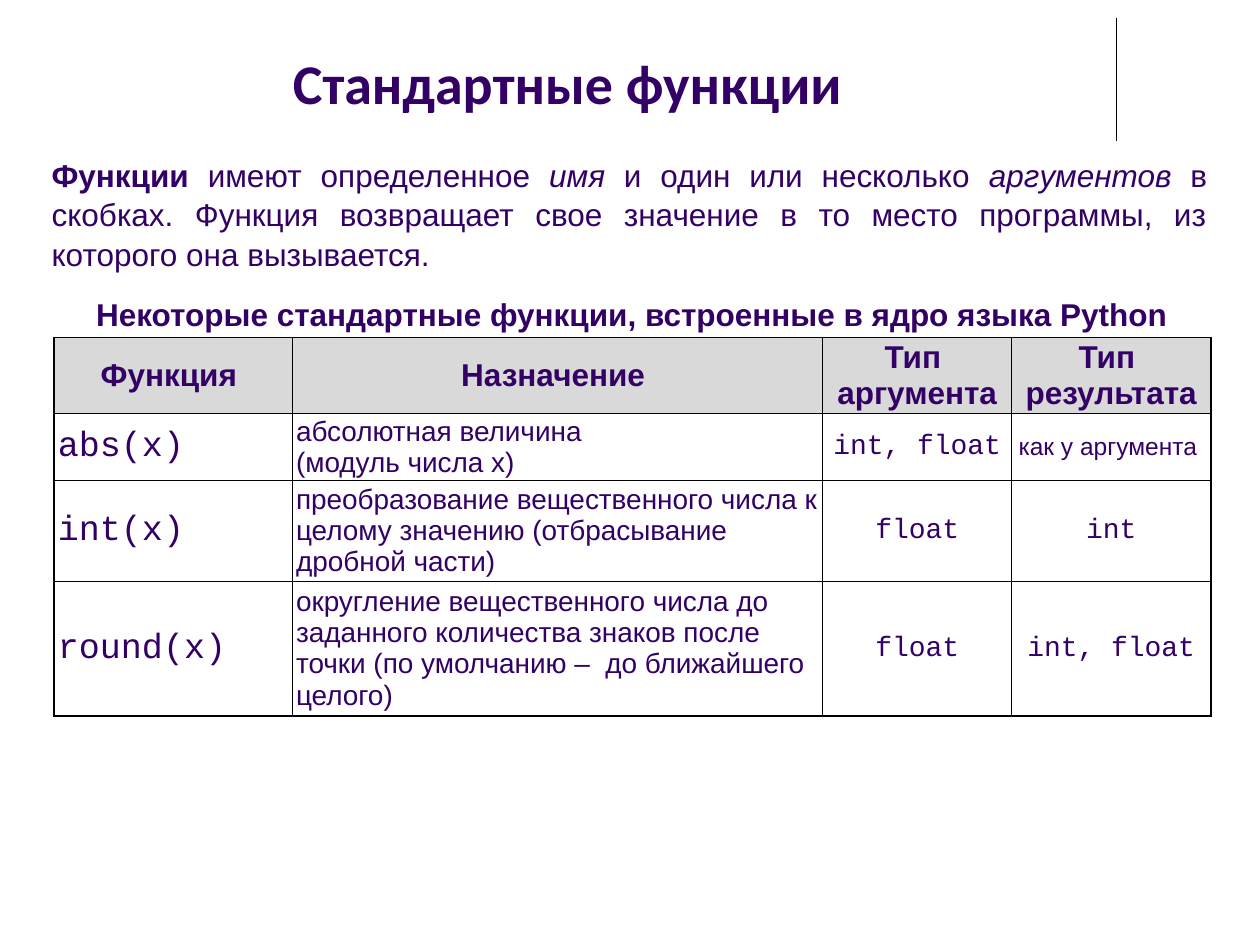
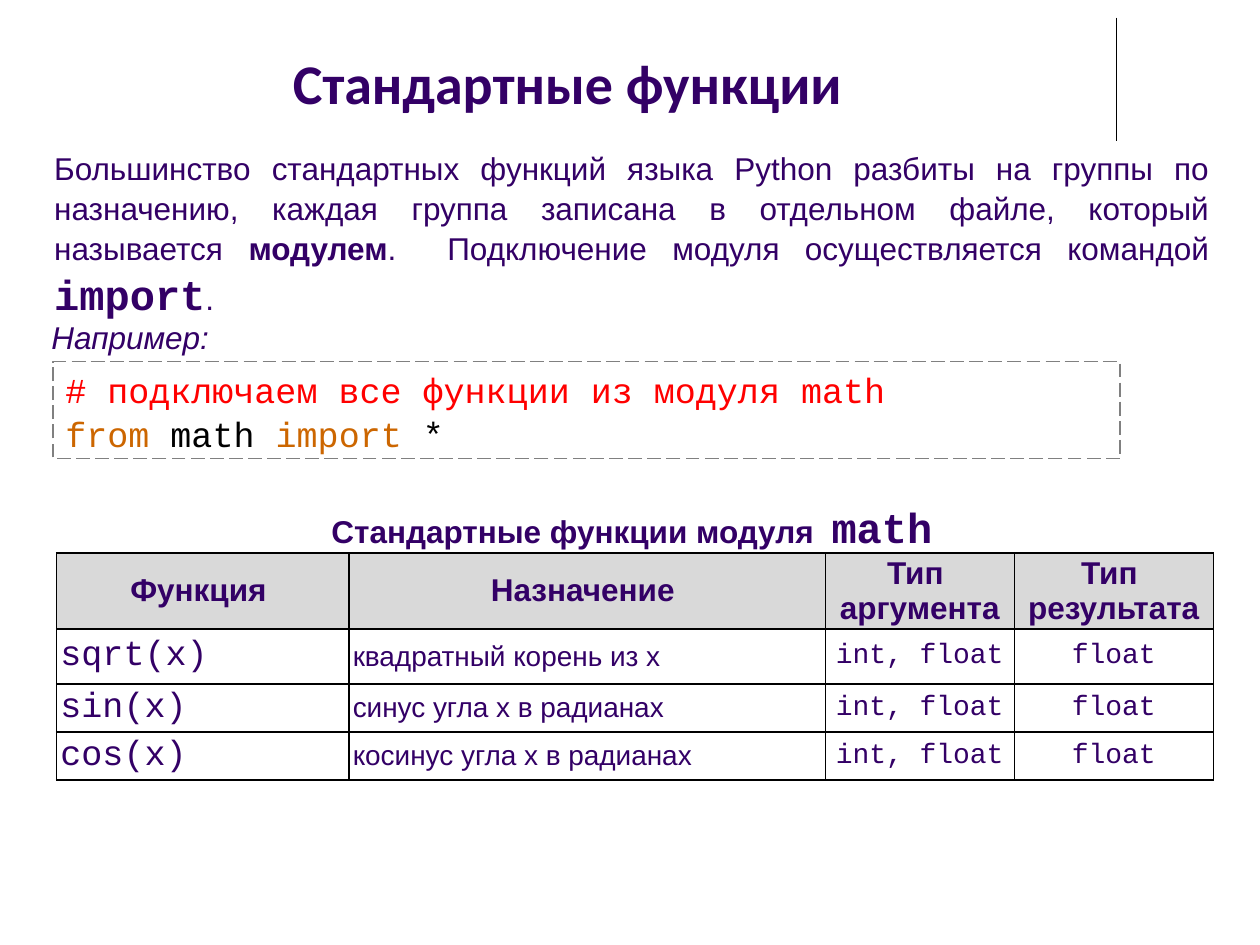
import pptx
import pptx.util
import pptx.dml.color
import pptx.enum.dml
import pptx.enum.shapes
import pptx.enum.text
import pptx.oxml
import pptx.oxml.ns
from dataclasses import dataclass

Pt = pptx.util.Pt
RGBColor = pptx.dml.color.RGBColor
ALIGN = pptx.enum.text.PP_ALIGN
ANCHOR = pptx.enum.text.MSO_ANCHOR

PURPLE = RGBColor(0x33, 0x00, 0x66)
HEADER_GREY = RGBColor(0xD9, 0xD9, 0xD9)
FRAME_GREY = RGBColor(0x80, 0x80, 0x80)
COMMENT_RED = RGBColor(0xFF, 0x00, 0x00)
KEYWORD_ORANGE = RGBColor(0xCC, 0x66, 0x00)
BLACK = RGBColor(0x00, 0x00, 0x00)

SANS, CODE, HEADING = "Arial", "Courier New", "Calibri"
CELL = pptx.util.Inches(0.1)
GRID_COLUMNS, GRID_ROWS = 100, 75
TYPE_COLUMNS = (15, 15.8)
HEADER_ROW = 6
HEADERS = ("Функция ", "Назначение ", "Тип \nаргумента", "Тип \nрезультата")


@dataclass
class Box:
    left: float
    top: float
    width: float
    height: float

    def lengths(self):
        return [grid(n) for n in (self.left, self.top, self.width, self.height)]


TITLE_BOX = Box(4.3, 2.1, 81.5, 7.6)
RULE_BOX = Box(88.6, 1.4, 0, 9.8)


def grid(cells):
    return round(cells * CELL)


def style(font, size=18, name=SANS, color=PURPLE, bold=False, italic=False):
    font.size = Pt(size)
    font.name = name
    font.color.rgb = color
    font.bold = bold
    font.italic = italic


def fill_para(para, spans, align=ALIGN.LEFT, spacing=1.05):
    para.alignment = align
    para.line_spacing = spacing
    para.space_before = Pt(0)
    for text, look in spans:
        span = para.add_run()
        span.text = text
        style(span.font, **look)


def add_element(parent, tag, content=""):
    space = pptx.oxml.ns.nsdecls("a")
    parent.append(pptx.oxml.parse_xml(f"<a:{tag} {space}>{content}</a:{tag.split()[0]}>"))


def place(shape, box):
    shape.left, shape.top, shape.width, shape.height = box.lengths()


def add_title(page, box, text):
    title = page.shapes.title
    place(title, box)
    frame = title.text_frame
    frame.auto_size = pptx.enum.text.MSO_AUTO_SIZE.NONE
    frame.vertical_anchor = ANCHOR.BOTTOM
    frame.text = text
    frame.paragraphs[0].alignment = ALIGN.CENTER
    style(frame.paragraphs[0].runs[0].font, size=32, name=HEADING, bold=True)


def add_rule(page, box):
    left, top, width, height = box.lengths()
    rule = page.shapes.add_connector(
        pptx.enum.shapes.MSO_CONNECTOR.STRAIGHT, left, top, left + width, top + height)
    rule.line.color.rgb = BLACK
    rule.line.width = Pt(0.75)
    add_element(rule.element.spPr, "effectLst")


def add_body(page, box, spans):
    body = page.placeholders[1]
    place(body, box)
    body.text_frame.auto_size = pptx.enum.text.MSO_AUTO_SIZE.NONE
    para = body.text_frame.paragraphs[0]
    properties = para._p.get_or_add_pPr()
    properties.set("marL", "0")
    properties.set("indent", "0")
    add_element(properties, "buNone")
    fill_para(para, spans, ALIGN.JUSTIFY)


def add_label(page, box, spans, align):
    frame = page.shapes.add_textbox(*box.lengths()).text_frame
    frame.word_wrap = True
    fill_para(frame.paragraphs[0], spans, align)


def add_code(page, box, lines):
    panel = page.shapes.add_shape(pptx.enum.shapes.MSO_SHAPE.RECTANGLE, *box.lengths())
    panel.shadow.inherit = False
    panel.fill.background()
    panel.line.color.rgb = FRAME_GREY
    panel.line.width = Pt(1)
    panel.line.dash_style = pptx.enum.dml.MSO_LINE.LONG_DASH
    frame = panel.text_frame
    frame.word_wrap = True
    for index, line in enumerate(lines):
        para = frame.add_paragraph() if index else frame.paragraphs[0]
        fill_para(para, [(text, dict(size=20, name=CODE, color=color)) for text, color in line])


def add_borders(cell):
    properties = cell._tc.get_or_add_tcPr()
    ink = f'<a:solidFill><a:srgbClr val="{BLACK}"/></a:solidFill>'
    for side in ("lnL", "lnR", "lnT", "lnB"):
        add_element(properties, f'{side} w="{Pt(1)}"', ink)


def fill_cell(cell, text, align, fill=None, **look):
    cell.margin_left = cell.margin_right = pptx.util.Inches(0.03)
    cell.margin_top = cell.margin_bottom = 0
    cell.vertical_anchor = ANCHOR.MIDDLE
    add_borders(cell)
    if fill is None:
        cell.fill.background()
    else:
        cell.fill.solid()
        cell.fill.fore_color.rgb = fill
    para = cell.text_frame.paragraphs[0]
    para.text = text
    para.alignment = align
    for span in para.runs:
        style(span.font, **look)


def add_functions(page, box, name_width, row_heights, functions):
    heights = (HEADER_ROW, *row_heights)
    widths = (name_width, box.width - name_width - sum(TYPE_COLUMNS), *TYPE_COLUMNS)
    table = page.shapes.add_table(len(heights), len(widths), *box.lengths()).table
    table.first_row = table.horz_banding = False
    for column, width in zip(table.columns, widths):
        column.width = grid(width)
    for row, height in zip(table.rows, heights):
        row.height = grid(height)
    for index, text in enumerate(HEADERS):
        fill_cell(table.cell(0, index), text, ALIGN.CENTER, HEADER_GREY, bold=True)
    looks = (dict(size=20, name=CODE), dict(size=16),
             dict(size=16, name=CODE), dict(size=16, name=CODE))
    aligns = (ALIGN.LEFT, ALIGN.LEFT, ALIGN.CENTER, ALIGN.CENTER)
    for row, function in enumerate(functions, 1):
        for index, text in enumerate(function):
            look = dict(size=14) if text.startswith("как у") else looks[index]
            fill_cell(table.cell(row, index), text, aligns[index], **look)


def add_page(deck):
    page = deck.slides.add_slide(deck.slide_layouts[1])
    add_rule(page, RULE_BOX)
    add_title(page, TITLE_BOX, "Стандартные функции")
    return page


def build_core_page(deck):
    page = add_page(deck)
    add_body(page, Box(3.1, 11.7, 93.7, 10.1), [
        ("Функции", dict(bold=True)),
        (" имеют определенное ", {}),
        ("имя", dict(italic=True)),
        (" и один или несколько ", {}),
        ("аргументов", dict(italic=True)),
        (" в скобках. Функция возвращает свое значение в то место программы, "
         "из которого она вызывается. ", {}),
    ])
    add_label(page, Box(4.3, 22.8, 91.7, 4), [
        ("Некоторые стандартные функции, встроенные в ядро языка Python", dict(bold=True)),
    ], ALIGN.CENTER)
    add_functions(page, Box(4.3, 26.8, 91.8, 30), 18.9, (5.3, 8, 10.7), [
        ("abs(x)", "абсолютная величина \n(модуль числа x)", "int, float", "как у аргумента "),
        ("int(x)", "преобразование вещественного числа к целому значению "
         "(отбрасывание дробной части)", "float", "int"),
        ("round(x)", "округление вещественного числа до заданного количества знаков "
         "после точки (по умолчанию –  до ближайшего целого)", "float", "int, float"),
    ])


def build_math_page(deck):
    page = add_page(deck)
    add_body(page, Box(3.3, 11.2, 93.7, 14.1), [
        ("Большинство стандартных функций языка Python разбиты на группы по назначению, "
         "каждая группа записана в отдельном файле, который называется ", {}),
        ("модулем", dict(bold=True)),
        (".  Подключение модуля осуществляется командой ", {}),
        ("import", dict(size=24, name=CODE, bold=True)),
        (". ", {}),
    ])
    add_label(page, Box(3.1, 24.6, 93.7, 4), [("Например:", dict(italic=True))], ALIGN.JUSTIFY)
    add_code(page, Box(4.2, 28.7, 84.7, 7.7), [
        [("# подключаем все функции из модуля math", COMMENT_RED)],
        [("from", KEYWORD_ORANGE), (" math ", BLACK), ("import", KEYWORD_ORANGE), (" *", BLACK)],
    ])
    add_label(page, Box(4.3, 39.1, 91.7, 5), [
        ("Стандартные функции модуля  ", dict(bold=True)),
        ("math", dict(size=24, name=CODE, bold=True)),
    ], ALIGN.CENTER)
    purposes = {
        "sqrt(x)": "квадратный корень из x",
        "sin(x)": "синус угла x в радианах",
        "cos(x)": "косинус угла x в радианах",
    }
    add_functions(page, Box(4.5, 43.9, 91.8, 18), 23.2, (4.4, 3.8, 3.8), [
        (name, purpose, "int, float", "float") for name, purpose in purposes.items()
    ])


def main():
    deck = pptx.Presentation()
    deck.slide_width = grid(GRID_COLUMNS)
    deck.slide_height = grid(GRID_ROWS)
    build_core_page(deck)
    build_math_page(deck)
    deck.save("out.pptx")


if __name__ == "__main__":
    main()
